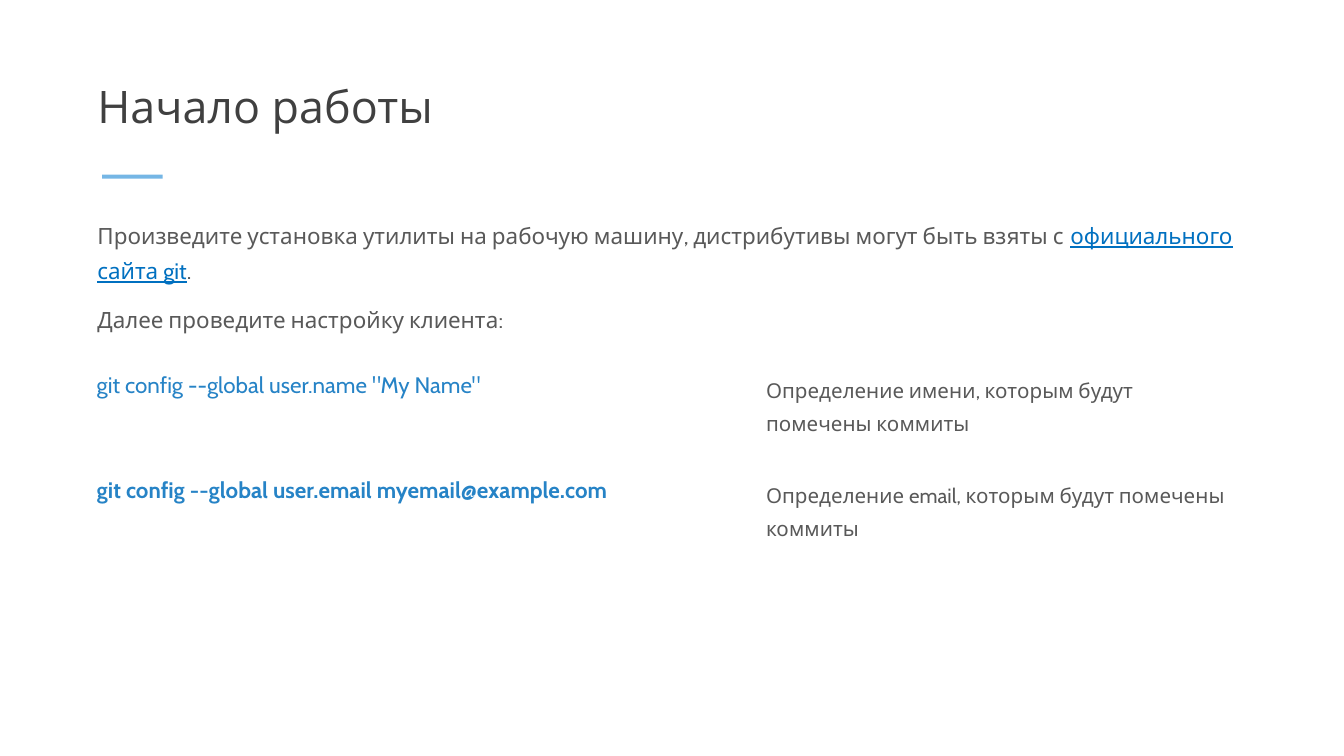
from pptx import Presentation
from pptx import util as u
from pptx.dml.color import RGBColor
from pptx.enum import shapes, text

WIDE, HIGH = u.Pt(720), u.Pt(405)  # 16:9
LEFT, SPAN = 0.065, 0.866  # shares of the slide width
WHITE = RGBColor(0xFF, 0xFF, 0xFF)
DARK = RGBColor(0x40, 0x40, 0x40)
GREY = RGBColor(0x59, 0x59, 0x59)
BLUE = RGBColor(0x26, 0x83, 0xC6)
LINK = RGBColor(0x00, 0x70, 0xC0)
SKY = RGBColor(0x75, 0xB6, 0xE5)
BODY, HEAD = "Cabin", "Open Sans"

ROWS = [
    ('git config --global user.name "My Name"', False,
     "Определение имени, которым будут помечены коммиты"),
    ("git config --global user.email myemail@example.com", True,
     "Определение email, которым будут помечены коммиты"),
]


def place(x, y, w, h):
    """Turn shares of the slide into lengths."""
    return int(x * WIDE), int(y * HIGH), int(w * WIDE), int(h * HIGH)


def add_run(para, words, size, color, font=BODY, bold=False, line=False):
    run = para.add_run()
    run.text = words
    face = run.font
    face.name, face.size, face.bold = font, u.Pt(size), bold
    face.underline = line
    face.color.rgb = color


def add_box(slide, y, h, anchor=text.MSO_ANCHOR.TOP):
    frame = slide.shapes.add_textbox(*place(LEFT, y, SPAN, h)).text_frame
    frame.word_wrap = True
    frame.vertical_anchor = anchor
    frame.margin_left = frame.margin_right = u.Pt(5.4)
    frame.margin_top = frame.margin_bottom = u.Pt(2.7)
    return frame


def add_title(slide):
    para = add_box(slide, 0.018, 0.165, text.MSO_ANCHOR.BOTTOM).paragraphs[0]
    para.line_spacing = 0.9
    add_run(para, "Начало работы", 24, DARK, HEAD)


def add_rule(slide):
    bar = slide.shapes.add_shape(shapes.MSO_SHAPE.RECTANGLE,
                                 *place(0.076, 0.231, 0.045, 0.0055))
    bar.shadow.inherit = False
    bar.fill.solid()
    bar.fill.fore_color.rgb = SKY
    bar.line.fill.background()


def add_intro(slide):
    frame = add_box(slide, 0.277, 0.098)
    first, last = frame.paragraphs[0], frame.add_paragraph()
    for para in (first, last):
        para.line_spacing = 1.3
        para.space_before = u.Pt(7.5)
    add_run(first, "Произведите установка утилиты на рабочую машину, "
            "дистрибутивы могут быть взяты с ", 12, GREY)
    add_run(first, "официального сайта git", 12, LINK, line=True)
    add_run(first, ".", 12, GREY)
    add_run(last, "Далее проведите настройку клиента:", 12, GREY)


def fill_cell(cell, words, size, color, bold=False, space=None):
    cell.fill.solid()
    cell.fill.fore_color.rgb = WHITE
    cell.margin_left = cell.margin_right = u.Inches(0.07)
    cell.margin_top = cell.margin_bottom = u.Inches(0.03)
    para = cell.text_frame.paragraphs[0]
    para.line_spacing = space
    add_run(para, words, size, color, bold=bold)


def add_grid(slide):
    area = place(LEFT, 0.486, SPAN, 0.274)
    grid = slide.shapes.add_table(len(ROWS), 2, *area).table
    grid.first_row = grid.horz_banding = False
    for col, share in zip(grid.columns, (0.498, 0.368)):
        col.width = int(share * WIDE)
    for row, share in zip(grid.rows, (0.139, 0.135)):
        row.height = int(share * HIGH)
    for i, (code, bold, note) in enumerate(ROWS):
        fill_cell(grid.cell(i, 0), code, 12, BLUE, bold)
        fill_cell(grid.cell(i, 1), note, 11, GREY, space=1.3)


def main():
    deck = Presentation()
    deck.slide_width, deck.slide_height = WIDE, HIGH
    slide = deck.slides.add_slide(deck.slide_layouts[6])
    add_grid(slide)
    add_intro(slide)
    add_rule(slide)
    add_title(slide)
    deck.save("out.pptx")


if __name__ == "__main__":
    main()
